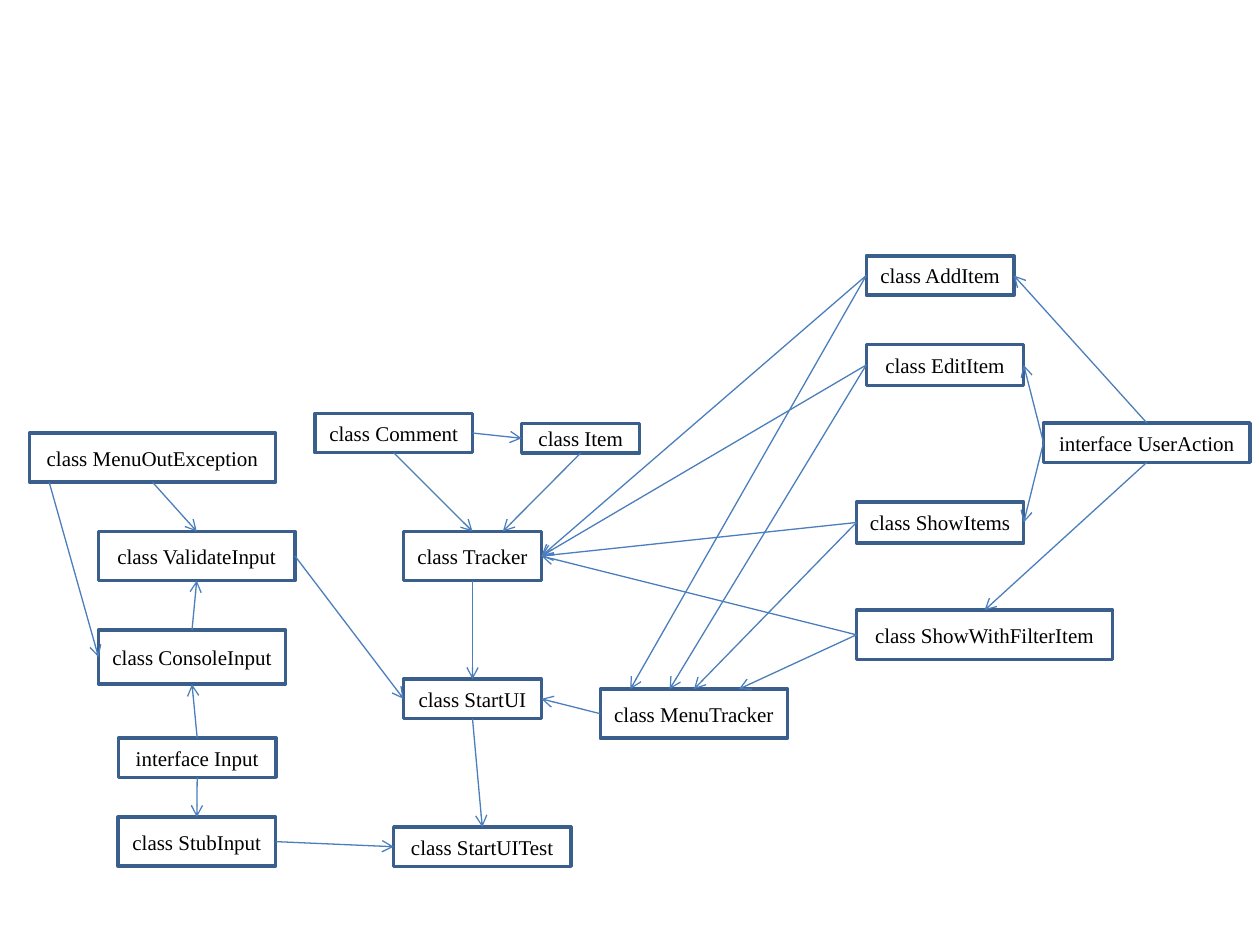
from dataclasses import dataclass

from lxml.etree import SubElement
from pptx import Presentation
from pptx.dml.color import RGBColor
from pptx.enum.shapes import MSO_CONNECTOR as Connector, MSO_SHAPE as Shape
from pptx.enum.text import MSO_ANCHOR as Anchor, PP_ALIGN as Align
from pptx.oxml.ns import qn
from pptx.util import Pt


@dataclass(frozen=True)
class Theme:
    font: str = "Times New Roman"
    size: float = 12
    text: str = "000000"
    border: str = "3A5F8C"
    border_width: float = 2
    arrow: str = "4B7EBC"
    arrow_width: float = 0.75


THEME = Theme()
TOP, LEFT, BOTTOM, RIGHT = range(4)
SITES = {TOP: (0.5, 0), LEFT: (0, 0.5), BOTTOM: (0.5, 1), RIGHT: (1, 0.5)}

INPUT_CLASSES = {
    "class MenuOutException": (0, 0, 140.6, 28.1),
    "class ValidateInput": (39.4, 56.2, 112.3, 28.1),
    "class ConsoleInput": (39.4, 112.5, 106.9, 31),
    "interface Input": (50.8, 174.2, 90, 22.5),
    "class StubInput": (50.6, 219.4, 90, 28.1),
}
TRACKER_CLASSES = {
    "class Comment": (0, 0, 90, 22.5),
    "class Item": (118.1, 5.8, 67.5, 16.9),
    "class Tracker": (50.6, 67.5, 78.8, 28.1),
    "class StartUI": (50.6, 151.9, 78.8, 22.5),
    "class StartUITest": (45, 236.4, 101.2, 22.5),
    "class MenuTracker": (163.1, 157.6, 106.9, 28.1),
}
ACTION_CLASSES = {
    "class AddItem": (5.6, 0, 84.4, 22.5),
    "class EditItem": (5.6, 50.6, 90, 23.6),
    "class ShowItems": (0, 140.6, 95.6, 23.6),
    "class ShowWithFilterItem": (0, 202.5, 146.4, 28.1),
    "interface UserAction": (106.9, 95.5, 118.1, 22.5),
}
REGIONS = [
    ((16.9, 247.5), INPUT_CLASSES),
    ((180, 236.2), TRACKER_CLASSES),
    ((489.4, 146.2), ACTION_CLASSES),
]
LINKS = [
    ("class Tracker", BOTTOM, "class StartUI", TOP),
    ("class ValidateInput", RIGHT, "class StartUI", LEFT),
    ("class ConsoleInput", TOP, "class ValidateInput", BOTTOM),
    ("interface Input", TOP, "class ConsoleInput", BOTTOM),
    ("interface Input", BOTTOM, "class StubInput", TOP),
    ("class StubInput", RIGHT, "class StartUITest", LEFT),
    ("class StartUI", BOTTOM, "class StartUITest", TOP),
    ("class MenuOutException", BOTTOM, "class ValidateInput", TOP),
    ("class MenuOutException", (0.08, 1), "class ConsoleInput", LEFT),
    ("class MenuTracker", LEFT, "class StartUI", RIGHT),
    ("interface UserAction", LEFT, "class EditItem", RIGHT),
    ("interface UserAction", TOP, "class AddItem", RIGHT),
    ("interface UserAction", LEFT, "class ShowItems", RIGHT),
    ("interface UserAction", BOTTOM, "class ShowWithFilterItem", TOP),
    ("class Comment", BOTTOM, "class Tracker", TOP),
    ("class Comment", RIGHT, "class Item", LEFT),
    ("class Item", BOTTOM, "class Tracker", (0.72, 0)),
]
MENU_ENTRIES = {
    "class AddItem": 0.16,
    "class EditItem": 0.37,
    "class ShowItems": 0.5,
    "class ShowWithFilterItem": 0.74,
}
LINKS += [(name, LEFT, "class Tracker", RIGHT) for name in MENU_ENTRIES]
LINKS += [(name, LEFT, "class MenuTracker", (share, 0)) for name, share in MENU_ENTRIES.items()]


def apply_format(target, values):
    for name, value in values.items():
        setattr(target, name, value)


def style_line(line, color, width):
    line.color.rgb = RGBColor.from_string(color)
    line.width = Pt(width)


def draw_class(page, name, left, top, width, height):
    box = page.shapes.add_shape(Shape.RECTANGLE, Pt(left), Pt(top), Pt(width), Pt(height))
    box.shadow.inherit = False
    box.fill.background()
    style_line(box.line, THEME.border, THEME.border_width)
    frame = box.text_frame
    margins = dict.fromkeys(("margin_left", "margin_right", "margin_top", "margin_bottom"), 0)
    apply_format(frame, {"word_wrap": True, "vertical_anchor": Anchor.MIDDLE, **margins})
    para = frame.paragraphs[0]
    para.alignment = Align.CENTER
    span = para.add_run()
    span.text = name
    apply_format(span.font, {"name": THEME.font, "size": Pt(THEME.size)})
    span.font.color.rgb = RGBColor.from_string(THEME.text)
    return box


def draw_region(page, origin, classes):
    left, top = origin
    return {
        name: draw_class(page, name, left + x, top + y, width, height)
        for name, (x, y, width, height) in classes.items()
    }


def locate(box, site):
    across, down = SITES.get(site, site)
    return round(box.left + across * box.width), round(box.top + down * box.height)


def draw_arrow(page, source, start, target, end):
    arrow = page.shapes.add_connector(
        Connector.STRAIGHT, *locate(source, start), *locate(target, end)
    )
    if start in SITES:
        arrow.begin_connect(source, start)
    if end in SITES:
        arrow.end_connect(target, end)
    style_line(arrow.line, THEME.arrow, THEME.arrow_width)
    properties = arrow.element.spPr
    SubElement(properties.find(qn("a:ln")), qn("a:tailEnd"), type="arrow")
    SubElement(properties, qn("a:effectLst"))


def draw_class_diagram(page):
    boxes = {}
    for origin, classes in REGIONS:
        boxes.update(draw_region(page, origin, classes))
    for source, start, target, end in LINKS:
        draw_arrow(page, boxes[source], start, boxes[target], end)


deck = Presentation()
apply_format(deck, {"slide_width": Pt(720), "slide_height": Pt(540)})
draw_class_diagram(deck.slides.add_slide(deck.slide_layouts[6]))
deck.save("out.pptx")
